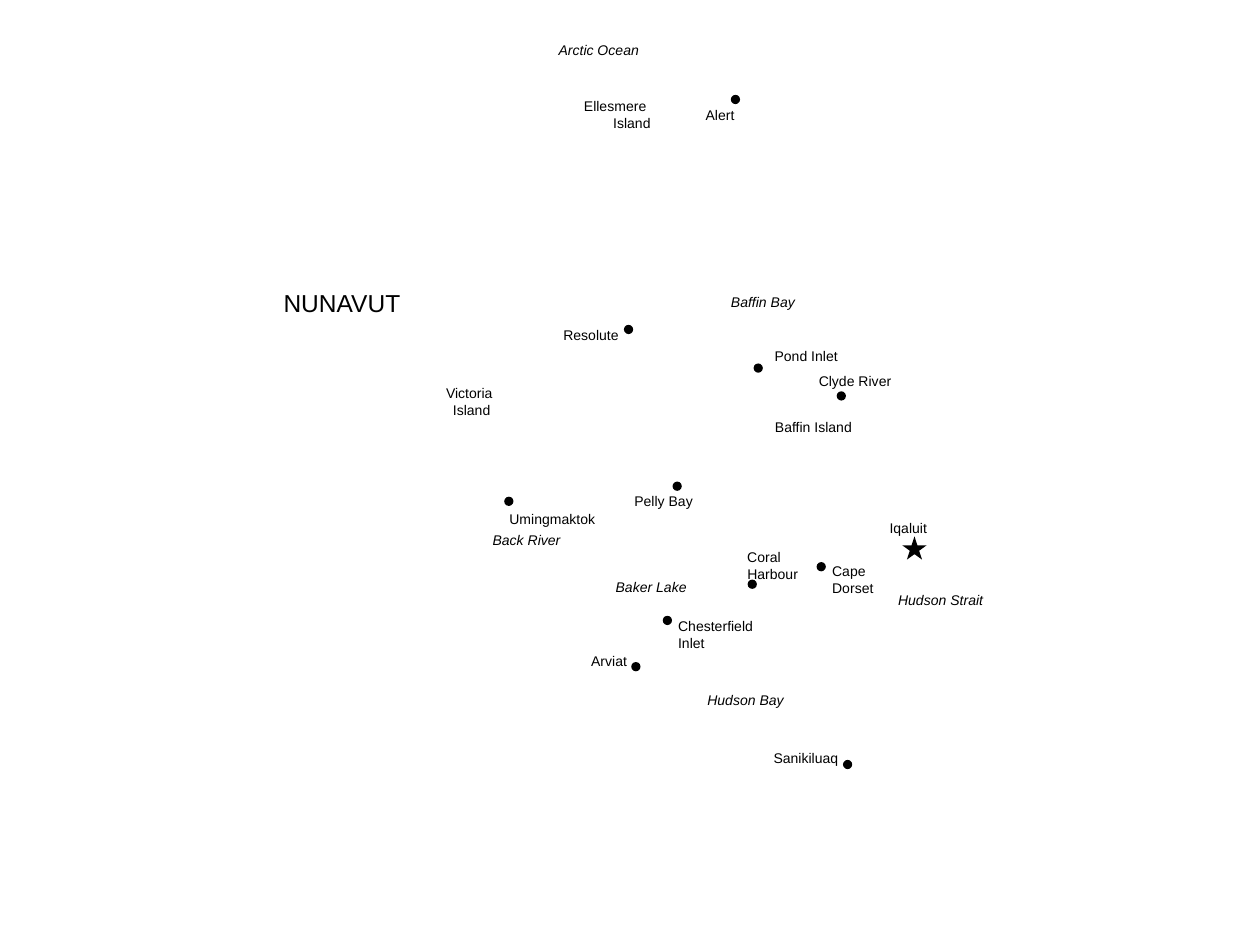
from typing import NamedTuple

from pptx import Presentation
from pptx.dml.color import RGBColor
from pptx.enum.shapes import MSO_SHAPE
from pptx.enum.text import MSO_ANCHOR, MSO_AUTO_SIZE, PP_ALIGN
from pptx.util import Pt

OVAL, STAR = MSO_SHAPE.OVAL, MSO_SHAPE.STAR_5_POINT
TOP, LEFT = MSO_ANCHOR.TOP, PP_ALIGN.LEFT
GROW, FIXED = MSO_AUTO_SIZE.SHAPE_TO_FIT_TEXT, MSO_AUTO_SIZE.NONE
TITLE_ONLY = 5

INK = "000000"
FONT = "Arial"
LABEL_SIZE = 8
LABEL_HEIGHT = 9.4
SLACK = 1  # spare width that keeps each label on one line
TITLE_SIZE = 14
DOT = 5.3


class Label(NamedTuple):
    text: str
    left: float
    top: float
    width: float


class Settlement(NamedTuple):
    """Top left corner of a settlement's dot."""
    left: float
    top: float


SETTLEMENTS = [
    Settlement(378.7, 351.9),  # Chesterfield Inlet
    Settlement(384.3, 275.2),  # Pelly Bay
    Settlement(288.1, 283.8),  # Umingmaktok
    Settlement(427.2, 331.2),  # Coral Harbour
    Settlement(466.6, 321.2),  # Cape Dorset
    Settlement(478.1, 223.6),  # Clyde River
    Settlement(356.5, 185.6),  # Resolute
    Settlement(417.6, 54.2),   # Alert
    Settlement(430.6, 207.7),  # Pond Inlet
    Settlement(481.7, 434.2),  # Sanikiluaq
    Settlement(360.7, 378.3),  # Arviat
]

LAND_LABELS = [
    Label("Iqaluit", 508.3, 297, 21.6),
    Label("Cape", 475.5, 321.4, 19.4),
    Label("Dorset", 475.5, 331.4, 23.8),
    Label("Coral", 427, 313.5, 19.4),
    Label("Harbour", 427, 323.1, 28.8),
    Label("Chesterfield", 387.5, 353, 43.2),
    Label("Inlet", 387.5, 362.7, 15.1),
    Label("Arviat", 337.8, 373, 20.6),
    Label("Sanikiluaq", 442, 428.4, 37.4),
    Label("Umingmaktok", 291.1, 291.6, 49),
    Label("Pelly Bay", 362.5, 281.5, 33.8),
    Label("Resolute", 321.9, 186.5, 31.7),
    Label("Pond Inlet", 442.6, 198.7, 36),
    Label("Clyde River", 467.9, 213.1, 41.8),
    Label("Alert", 403.2, 60.9, 16.6),
    Label("Baffin Island", 442.8, 239, 44.6),
    Label("Ellesmere", 333.7, 55.6, 35.5),
    Label("Island", 350.4, 65.3, 21.6),
    Label("Victoria", 254.9, 219.8, 26.6),
    Label("Island", 258.8, 229.5, 21.6),
]

WATER_LABELS = [
    Label("Back River", 281.5, 303.8, 38.9),
    Label("Hudson Bay", 404.2, 395.3, 43.9),
    Label("Hudson Strait", 513.2, 338, 49),
    Label("Baffin Bay", 417.7, 167.8, 36.7),
    Label("Arctic Ocean", 319.2, 23.8, 46.1),
    Label("Baker Lake", 351.8, 330.5, 41),
]


def color(value: str) -> RGBColor:
    return RGBColor.from_string(value)


def write(box, text: str, size: float, italic: bool = False, fit=GROW) -> None:
    """Fill a box with one unwrapped line, flush with its edges."""
    frame = box.text_frame
    frame.margin_left = frame.margin_top = 0
    frame.margin_right = frame.margin_bottom = 0
    frame.word_wrap = False
    frame.auto_size = fit
    frame.vertical_anchor = TOP
    frame.text = text
    para = frame.paragraphs[0]
    para.alignment = LEFT
    para.space_before = Pt(0)
    para.font.name = FONT
    para.font.size = Pt(size)
    para.font.italic = italic
    para.font.color.rgb = color(INK)


def add_label(page, label: Label, italic: bool = False) -> None:
    box = page.shapes.add_textbox(Pt(label.left), Pt(label.top),
                                  Pt(label.width + SLACK), Pt(LABEL_HEIGHT))
    write(box, label.text, LABEL_SIZE, italic)


def add_marker(page, kind, left: float, top: float,
               width: float, height: float) -> None:
    marker = page.shapes.add_shape(kind, Pt(left), Pt(top),
                                   Pt(width), Pt(height))
    marker.shadow.inherit = False
    marker.fill.solid()
    marker.fill.fore_color.rgb = color(INK)
    marker.line.fill.background()


def main() -> None:
    deck = Presentation()
    deck.slide_width, deck.slide_height = Pt(720), Pt(540)
    page = deck.slides.add_slide(deck.slide_layouts[TITLE_ONLY])

    # Territory name
    title = page.shapes.title
    title.left, title.top = Pt(162), Pt(164.5)
    title.width, title.height = Pt(67.7), Pt(16.5)
    write(title, "NUNAVUT", TITLE_SIZE, fit=FIXED)

    # Settlements
    for place in SETTLEMENTS:
        add_marker(page, OVAL, place.left, place.top, DOT, DOT)

    # Place names, with waters in italics
    for label in LAND_LABELS:
        add_label(page, label)
    for label in WATER_LABELS:
        add_label(page, label, italic=True)

    # Capital
    add_marker(page, STAR, 515.6, 306.5, 14, 13.3)

    deck.save("out.pptx")


if __name__ == "__main__":
    main()
